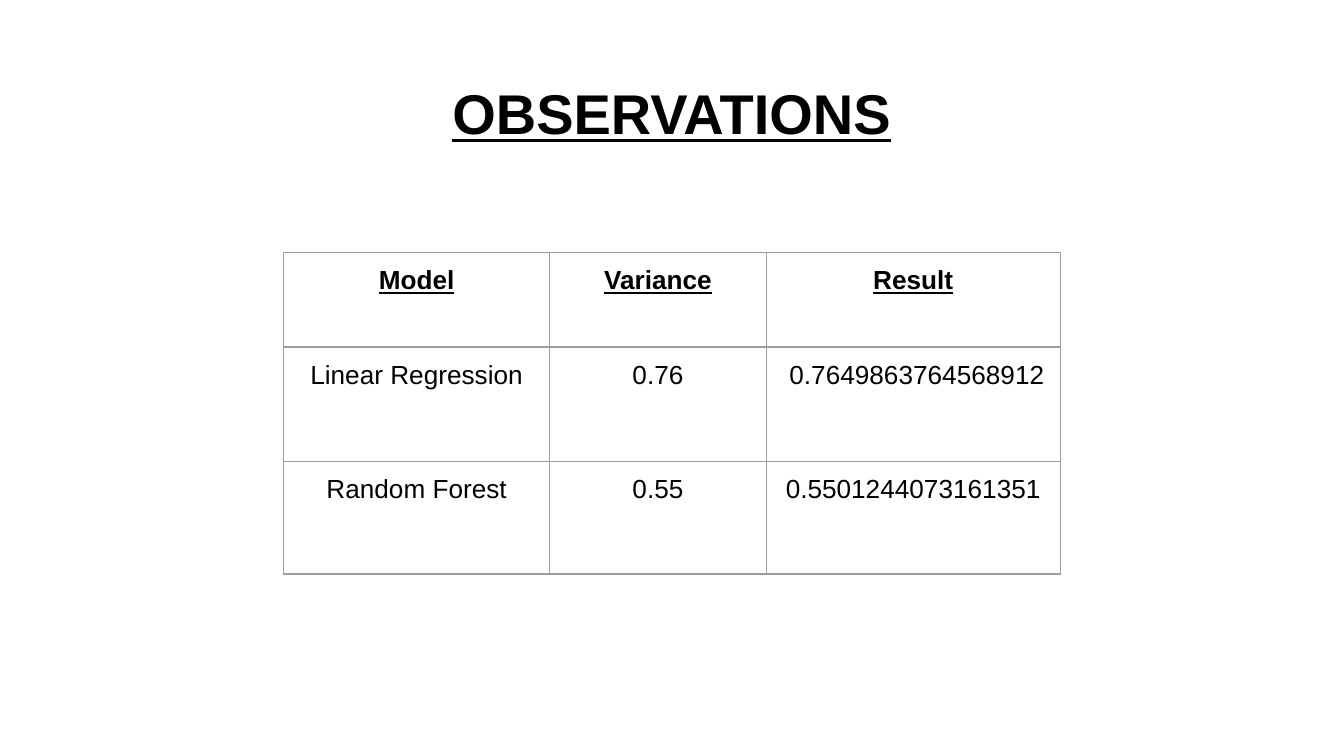
"""Build the observations slide with its table of model results."""
from lxml.etree import SubElement
from pptx import Presentation
from pptx.dml.color import RGBColor
from pptx.enum.text import PP_ALIGN
from pptx.oxml.ns import qn
from pptx.util import Cm, Pt

TITLE = "OBSERVATIONS"
ROWS = [
    ("Model", "Variance", "Result"),
    ("Linear Regression", "0.76", " 0.7649863764568912"),
    ("Random Forest", "0.55", "0.5501244073161351"),
]
WIDTHS = (5.03, 4.09, 5.56)
HEIGHTS = (1.78, 2.16, 2.13)
INSET = Cm(0.25)
COLORS = {"text": "000000", "line": "9E9E9E", "back": "FFFFFF"}


def style(frame, size, strong):
    para = frame.paragraphs[0]
    para.alignment = PP_ALIGN.CENTER
    font = para.runs[0].font
    font.name, font.size = "Arial", Pt(size)
    font.bold = font.underline = strong
    font.color.rgb = RGBColor.from_string(COLORS["text"])


def pad(item):
    item.margin_left = item.margin_right = INSET
    item.margin_top = item.margin_bottom = INSET


def border(cell):
    props = cell._tc.get_or_add_tcPr()
    for side in ("lnL", "lnR", "lnT", "lnB"):
        line = SubElement(props, qn(f"a:{side}"), w=str(Pt(0.75)))
        fill = SubElement(line, qn("a:solidFill"))
        SubElement(fill, qn("a:srgbClr"), val=COLORS["line"])


def add_title(slide):
    box = slide.shapes.add_textbox(Cm(0.86), Cm(1.24), Cm(23.67), Cm(1.6))
    frame = box.text_frame
    frame.word_wrap = True
    frame.text = TITLE
    pad(frame)
    style(frame, 30, True)


def add_grid(slide):
    table = slide.shapes.add_table(
        len(ROWS), len(WIDTHS), Cm(5.36), Cm(4.78),
        Cm(sum(WIDTHS)), Cm(sum(HEIGHTS))).table
    table.first_row = table.horz_banding = False
    for col, width in zip(table.columns, WIDTHS):
        col.width = Cm(width)
    for r, (row, height) in enumerate(zip(table.rows, HEIGHTS)):
        row.height = Cm(height)
        for cell, text in zip(row.cells, ROWS[r]):
            cell.text_frame.text = text
            pad(cell)
            style(cell.text_frame, 14, r == 0)
            border(cell)
            cell.fill.background()


def main():
    deck = Presentation()
    deck.slide_width, deck.slide_height = Cm(25.4), Cm(14.29)
    slide = deck.slides.add_slide(deck.slide_layouts[6])
    back = slide.background.fill
    back.solid()
    back.fore_color.rgb = RGBColor.from_string(COLORS["back"])
    add_title(slide)
    add_grid(slide)
    deck.save("out.pptx")


if __name__ == "__main__":
    main()
